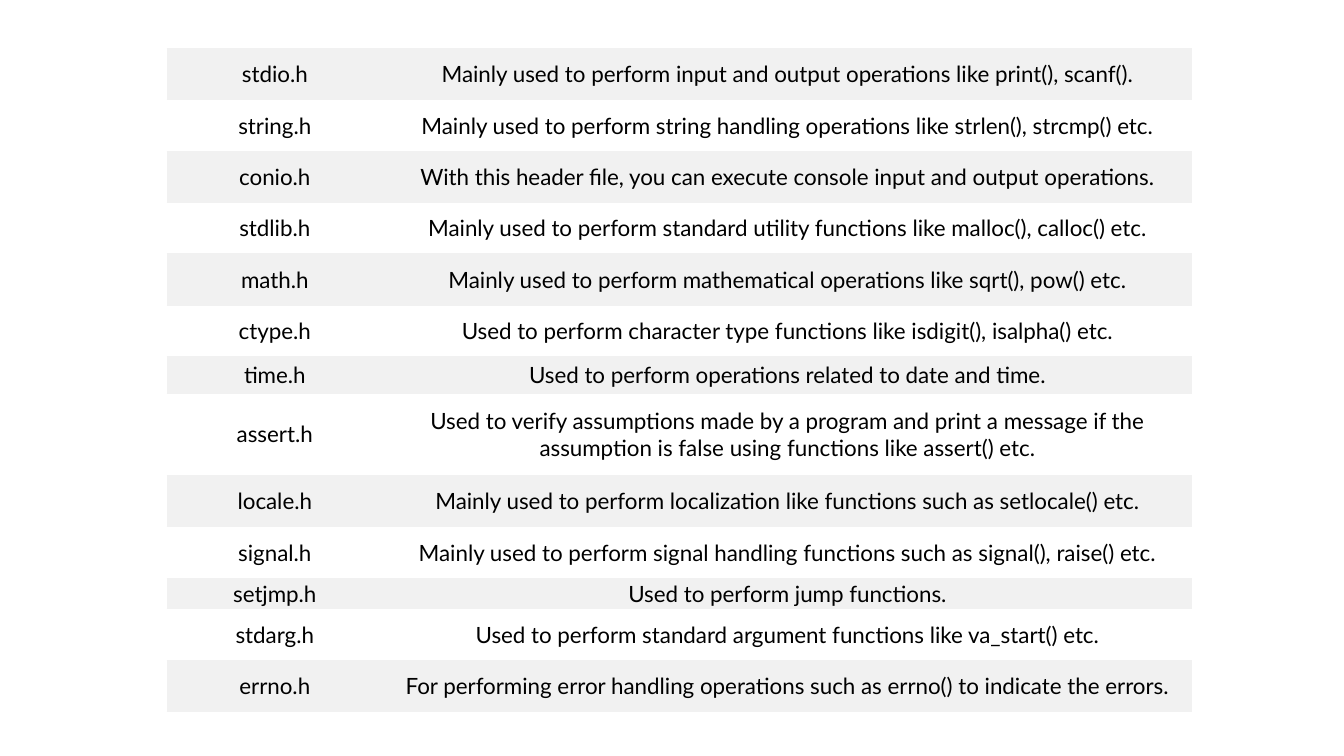
import dataclasses

import lxml.etree
import pptx
import pptx.dml.color
import pptx.enum.text
import pptx.oxml.ns
import pptx.table
import pptx.util

GREY = pptx.dml.color.RGBColor(0xF1, 0xF1, 0xF1)
WHITE = pptx.dml.color.RGBColor(0xFF, 0xFF, 0xFF)
BLACK = pptx.dml.color.RGBColor(0x00, 0x00, 0x00)
FONT = "Lato"
WIDE, HIGH = pptx.util.Inches(13.33), pptx.util.Inches(7.5)
INSET = pptx.util.Inches(0.02)
RULE = pptx.util.Pt(0.75)

# Shares of the slide's size, in percent
LEFT, TOP = 12.4, 6.4
COLS = (16.1, 60.2)


@dataclasses.dataclass(frozen=True)
class Header:
    name: str
    use: str
    tall: float = 6.8


HEADERS = (
    Header("stdio.h", "Mainly used to perform input and output operations like print(), scanf()."),
    Header("string.h", "Mainly used to perform string handling operations like strlen(), strcmp() etc."),
    Header("conio.h", "With this header file, you can execute console input and output operations."),
    Header("stdlib.h", "Mainly used to perform standard utility functions like malloc(), calloc() etc."),
    Header("math.h", "Mainly used to perform mathematical operations like sqrt(), pow() etc."),
    Header("ctype.h", "Used to perform character type functions like isdigit(), isalpha() etc."),
    Header("time.h", "Used to perform operations related to date and time.", 4.8),
    Header("assert.h", "Used to verify assumptions made by a program and print a message if the "
           "assumption is false using functions like assert() etc.", 10.9),
    Header("locale.h", "Mainly used to perform localization like functions such as setlocale() etc."),
    Header("signal.h", "Mainly used to perform signal handling functions such as signal(), raise() etc."),
    Header("setjmp.h", "Used to perform jump functions.", 2.8),
    Header("stdarg.h", "Used to perform standard argument functions like va_start() etc."),
    Header("errno.h", "For performing error handling operations such as errno() to indicate the errors."),
)


def across(share: float) -> int:
    return round(WIDE * share / 100)


def down(share: float) -> int:
    return round(HIGH * share / 100)


def rule_cell(cell: pptx.table._Cell) -> None:
    """Draw grey rules above and below the cell, and none at its sides."""
    qn = pptx.oxml.ns.qn
    props = cell._tc.get_or_add_tcPr()
    for side in ("lnL", "lnR"):
        line = lxml.etree.SubElement(props, qn(f"a:{side}"))
        lxml.etree.SubElement(line, qn("a:noFill"))
    for side in ("lnT", "lnB"):
        line = lxml.etree.SubElement(props, qn(f"a:{side}"), w=str(RULE))
        fill = lxml.etree.SubElement(line, qn("a:solidFill"))
        lxml.etree.SubElement(fill, qn("a:srgbClr"), val=str(GREY))


def fill_cell(cell: pptx.table._Cell, text: str, shade: pptx.dml.color.RGBColor) -> None:
    rule_cell(cell)
    cell.fill.solid()
    cell.fill.fore_color.rgb = shade
    cell.margin_left = cell.margin_right = INSET
    cell.margin_top = cell.margin_bottom = INSET
    cell.vertical_anchor = pptx.enum.text.MSO_ANCHOR.MIDDLE
    cell.text = text
    para = cell.text_frame.paragraphs[0]
    para.alignment = pptx.enum.text.PP_ALIGN.CENTER
    para.font.name = FONT
    para.font.size = pptx.util.Pt(16)
    para.font.color.rgb = BLACK


def main() -> None:
    deck = pptx.Presentation()
    deck.slide_width, deck.slide_height = WIDE, HIGH
    slide = deck.slides.add_slide(deck.slide_layouts.get_by_name("Blank"))
    table = slide.shapes.add_table(
        len(HEADERS), len(COLS), across(LEFT), down(TOP),
        across(sum(COLS)), down(sum(head.tall for head in HEADERS)),
    ).table
    table.first_row = table.horz_banding = False
    for col, share in zip(table.columns, COLS):
        col.width = across(share)
    for index, (row, head) in enumerate(zip(table.rows, HEADERS)):
        row.height = down(head.tall)
        shade = WHITE if index % 2 else GREY
        for cell, text in zip(row.cells, (head.name, head.use)):
            fill_cell(cell, text, shade)
    deck.save("out.pptx")


if __name__ == "__main__":
    main()
